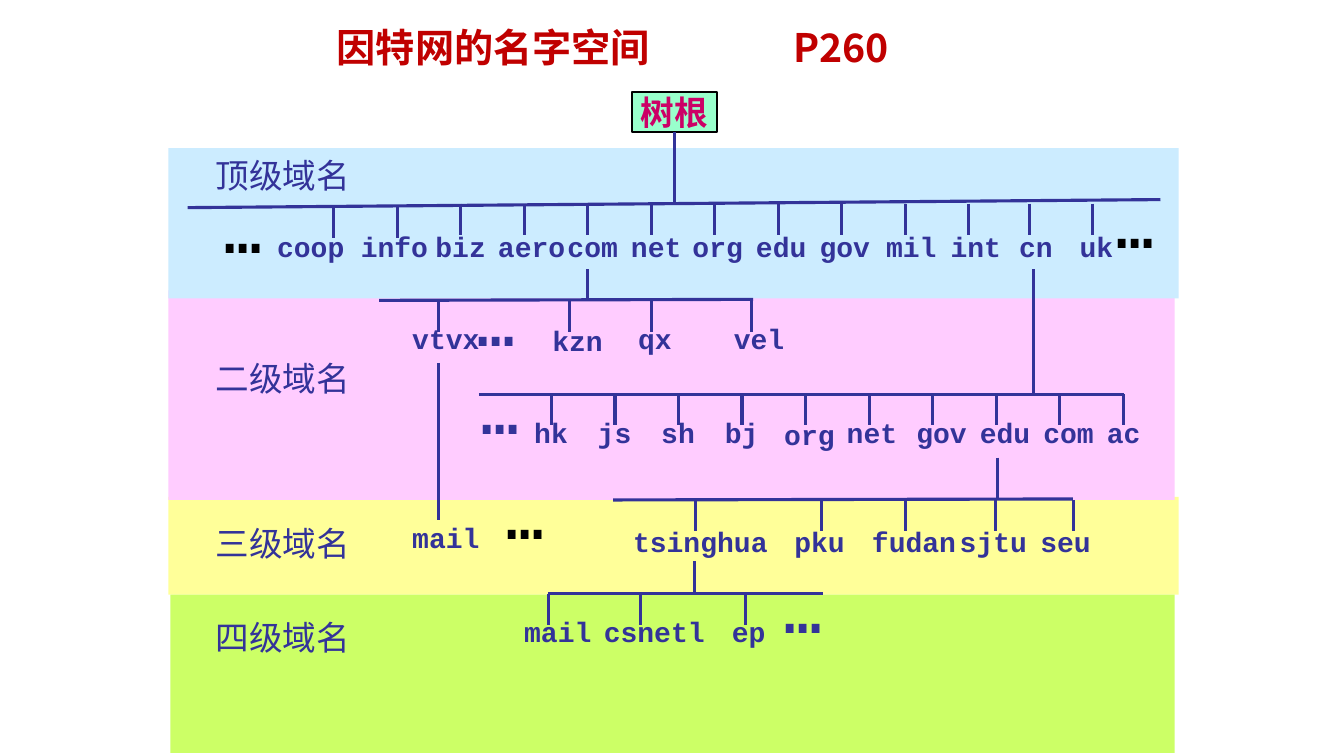
"""Build a slide showing the Internet domain name space as a tree."""
from lxml.etree import SubElement
from pptx import Presentation
from pptx.dml.color import RGBColor
from pptx.enum.shapes import MSO_CONNECTOR, MSO_SHAPE
from pptx.enum.text import MSO_ANCHOR, MSO_AUTO_SIZE, PP_ALIGN
from pptx.oxml.ns import qn
from pptx.util import Inches, Pt

NAVY = RGBColor(0x33, 0x33, 0x99)
BLACK = RGBColor(0, 0, 0)
RED = RGBColor(0xC0, 0, 0)
MAGENTA = RGBColor(0xCC, 0, 0x66)
MINT = RGBColor(0x99, 0xFF, 0xCC)
YELLOW = RGBColor(0xFF, 0xFF, 0x99)
GREEN = RGBColor(0xCC, 0xFF, 0x66)
PINK = RGBColor(0xFF, 0xCC, 0xFF)
BLUE = RGBColor(0xCC, 0xEC, 0xFF)

BANDS = [
    (1.67, 4.93, 10.02, 0.97, YELLOW),
    (1.69, 5.9, 9.96, 1.57, GREEN),
    (1.67, 2.88, 9.98, 2.08, PINK),
    (1.67, 1.47, 10.02, 1.49, BLUE),
]
LEVELS = [("顶级域名", 1.49), ("二级域名", 3.5), ("三级域名", 5.14), ("四级域名", 6.07)]
RAILS = [
    (1.86, 2.06, 11.51, 1.98),
    (3.76, 2.98, 7.47, 2.97),
    (4.75, 3.91, 11.15, 3.91),
    (6.08, 4.96, 10.64, 4.95),
    (5.44, 5.89, 8.16, 5.89),
]
STEMS = [
    (5.83, 2.67, 2.98),
    (10.25, 2.67, 3.91),
    (9.89, 4.54, 4.95),
    (4.35, 3.6, 5.16),
    (6.89, 5.57, 5.89),
]
STEP = 0.63
TICKS = [
    (2.05, [3.31, 3.94]),
    (2.02, [4.57 + STEP * i for i in range(9)] + [10.21, 10.84]),
    (2.98, [4.35, 5.65, 6.46, 7.45]),
    (3.91, [5.47 + STEP * i for i in range(10)]),
    (4.96, [6.9, 8.15, 8.98, 9.87, 10.65]),
    (5.89, [5.44, 6.35, 7.39]),
]
NAMES = [
    (2.23, [("coop", 2.65), ("info", 3.48), ("biz", 4.22), ("aero", 4.84), ("com", 5.53),
            ("net", 6.16), ("org", 6.77), ("edu", 7.4), ("gov", 8.03), ("mil", 8.69),
            ("int", 9.33), ("cn", 10.01), ("uk", 10.61)]),
    (3.14, [("vtvx", 3.99), ("qx", 6.23), ("vel", 7.18)]),
    (3.16, [("kzn", 5.38)]),
    (4.07, [("hk", 5.2), ("js", 5.83), ("sh", 6.46), ("bj", 7.09), ("net", 8.3),
            ("gov", 8.99), ("edu", 9.62), ("com", 10.25), ("ac", 10.88)]),
    (4.09, [("org", 7.68)]),
    (5.11, [("mail", 3.99)]),
    (5.15, [("tsinghua", 6.18), ("pku", 7.78), ("fudan", 8.55), ("sjtu", 9.42),
            ("seu", 10.22)]),
    (6.05, [("mail", 5.1), ("csnetl", 5.89), ("ep", 7.16)]),
]
ELLIPSES = [
    (2.13, 1.86, BLACK),
    (10.98, 1.81, BLACK),
    (4.64, 2.78, NAVY),
    (4.68, 3.65, NAVY),
    (4.93, 4.69, BLACK),
    (7.68, 5.62, NAVY),
]


class TreeSlide:
    """Holds the slide and the style of its elements."""

    font = "Courier New"
    title_font = "Noto Sans CJK SC"

    def __init__(self, prs):
        self.s = prs.slides.add_slide(prs.slide_layouts[5])

    def style(self, p, size, color, bold=True, font=font):
        p.font.size = Pt(size)
        p.font.bold = bold
        p.font.name = font
        p.font.color.rgb = color

    def title(self, text, x, y, w, h, tab):
        sp = self.s.shapes.title
        sp.left, sp.top, sp.width, sp.height = map(Inches, (x, y, w, h))
        tf = sp.text_frame
        tf.vertical_anchor = MSO_ANCHOR.MIDDLE
        p = tf.paragraphs[0]
        p.text = text
        p.alignment = PP_ALIGN.LEFT
        p.line_spacing = 0.9
        tabs = SubElement(p._p.get_or_add_pPr(), qn("a:tabLst"))
        SubElement(tabs, qn("a:tab"), pos=str(Inches(tab)), algn="l")
        self.style(p, 28, RED, font=self.title_font)

    def rect(self, x, y, w, h, fill):
        sp = self.s.shapes.add_shape(MSO_SHAPE.RECTANGLE, *map(Inches, (x, y, w, h)))
        sp.shadow.inherit = False
        sp.fill.solid()
        sp.fill.fore_color.rgb = fill
        sp.line.fill.background()
        return sp

    def root(self, text, x, y, w, h):
        sp = self.rect(x, y, w, h, MINT)
        sp.line.color.rgb = BLACK
        sp.line.width = Pt(1.5)
        tf = sp.text_frame
        tf.word_wrap = False
        tf.vertical_anchor = MSO_ANCHOR.MIDDLE
        p = tf.paragraphs[0]
        p.text = text
        p.alignment = PP_ALIGN.CENTER
        self.style(p, 24, MAGENTA)
        return sp

    def text(self, text, x, y, w, h, size=20, color=NAVY, bold=True):
        tf = self.s.shapes.add_textbox(*map(Inches, (x, y, w, h))).text_frame
        tf.word_wrap = False
        tf.auto_size = MSO_AUTO_SIZE.SHAPE_TO_FIT_TEXT
        p = tf.paragraphs[0]
        p.text = text
        self.style(p, size, color, bold)

    def line(self, x1, y1, x2, y2):
        c = self.s.shapes.add_connector(MSO_CONNECTOR.STRAIGHT, *map(Inches, (x1, y1, x2, y2)))
        c.line.color.rgb = NAVY
        c.line.width = Pt(2.25)
        SubElement(c._element.spPr, qn("a:effectLst"))
        return c


def main():
    prs = Presentation()
    prs.slide_width, prs.slide_height = Inches(13.33), Inches(7.5)
    tree = TreeSlide(prs)
    for band in BANDS:
        tree.rect(*band)
    tree.title("因特网的名字空间\tP260", 3.24, 0.15, 7.13, 0.68, 4.53)
    root = tree.root("树根", 6.27, 0.91, 0.84, 0.4)
    tree.line(6.69, 1.31, 6.69, 2.02).begin_connect(root, 2)
    for rail in RAILS:
        tree.line(*rail)
    for x, top, bottom in STEMS:
        tree.line(x, top, x, bottom)
    for y, xs in TICKS:
        for x in xs:
            tree.line(x, y, x, y + 0.31)
    for y, names in NAMES:
        for name, x in names:
            tree.text(name, x, y, 0.2 + len(name) / 6, 0.43)
    for x, y, color in ELLIPSES:
        tree.text("…", x, y, 0.57, 0.83, size=44, color=color)
    for level, y in LEVELS:
        tree.text(level, 2.04, y, 1.55, 0.5, size=24, bold=False)
    prs.save("out.pptx")


if __name__ == "__main__":
    main()
